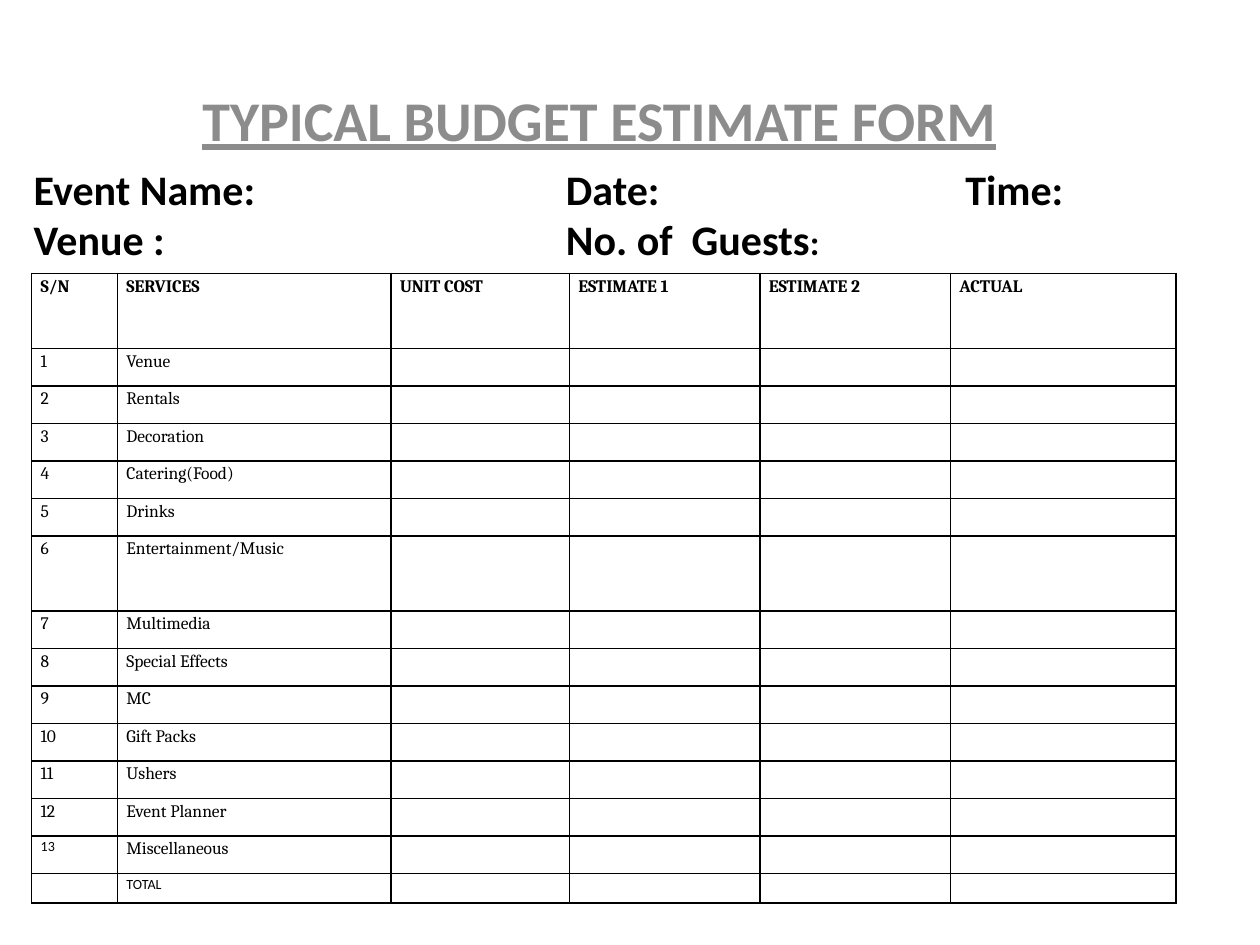
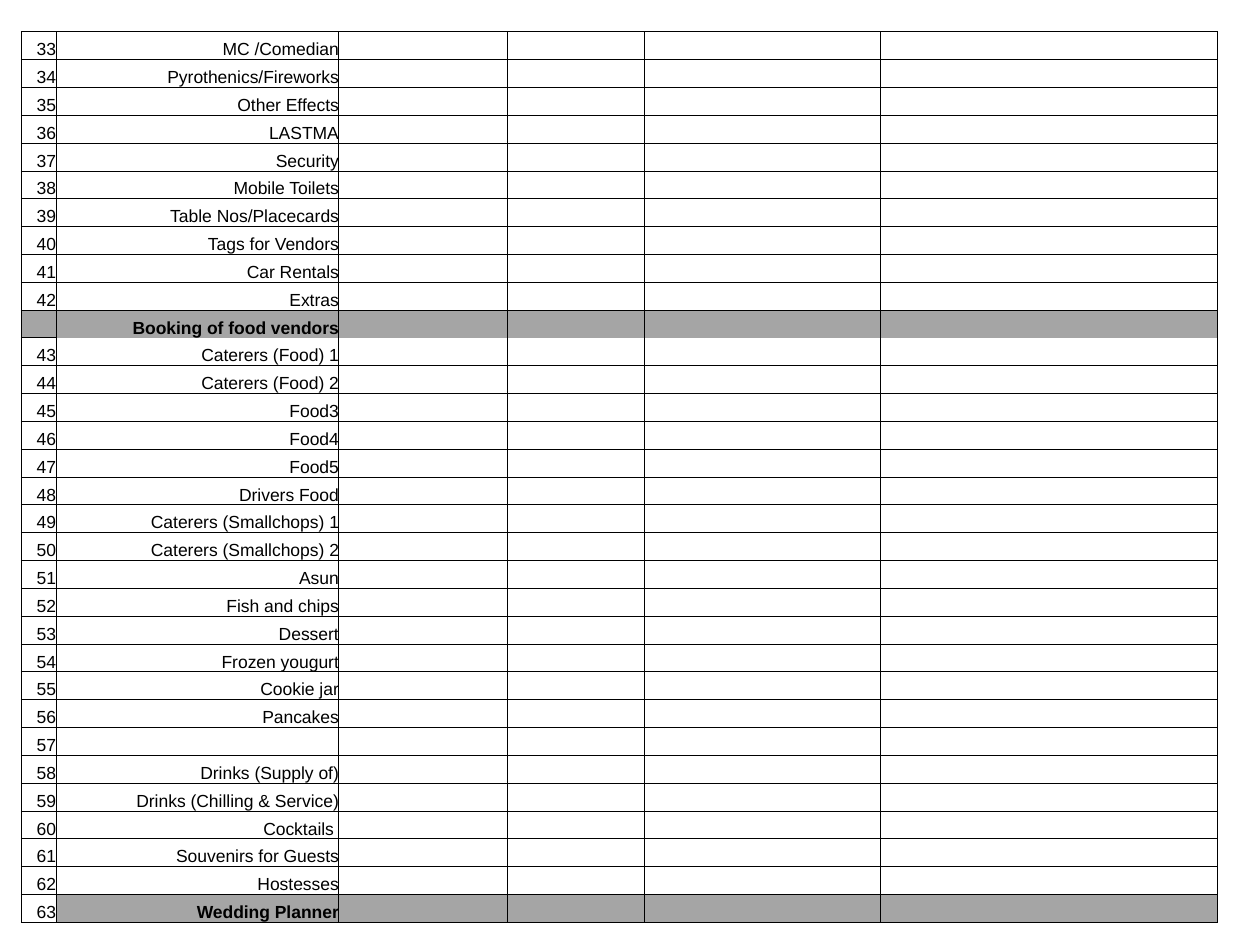
from lxml.etree import SubElement
from pptx import Presentation
from pptx.dml.color import RGBColor
from pptx.enum.text import MSO_ANCHOR, PP_ALIGN
from pptx.oxml.ns import qn
from pptx.util import Cm, Pt

# Content: budget form
TITLE = "TYPICAL BUDGET ESTIMATE FORM"
EVENT_LINES = [
    [("Event Name:\tDate:\tTime:", 24)],
    [("Venue :\tNo. of  Guests", 24), (": ", 20)],
]
BUDGET_HEADINGS = ["S/N", "SERVICES", "UNIT COST", "ESTIMATE 1", "ESTIMATE 2", "ACTUAL"]
SERVICES = ["Venue", "Rentals", "Decoration", "Catering(Food)", "Drinks",
            "Entertainment/Music", "Multimedia", "Special Effects", "MC", "Gift Packs",
            "Ushers", "Event Planner", "Miscellaneous"]
TALL_SERVICE = "Entertainment/Music"
SMALL_TEXTS = ("13", "TOTAL")

# Content: vendor checklist
FIRST_NUMBER = 33
BOOKING = "Booking of food vendors"
PLANNER = "Wedding Planner"
VENDORS = ["MC /Comedian", "Pyrothenics/Fireworks", "Other Effects", "LASTMA", "Security",
           "Mobile Toilets", "Table Nos/Placecards", "Tags for Vendors", "Car Rentals",
           "Extras", BOOKING, "Caterers (Food) 1", "Caterers (Food) 2", "Food3", "Food4",
           "Food5", "Drivers Food", "Caterers (Smallchops) 1", "Caterers (Smallchops) 2",
           "Asun", "Fish and chips", "Dessert", "Frozen yougurt", "Cookie jar", "Pancakes",
           "", "Drinks (Supply of)", "Drinks (Chilling & Service)", "Cocktails ",
           "Souvenirs for Guests", "Hostesses", PLANNER]

# Shared style
BLACK, WHITE, TITLE_GREY, BAND_GREY = "000000", "FFFFFF", "8C8C8C", "A5A5A5"
BUDGET_COLUMNS = [1.73, 5.51, 3.6, 3.84, 3.84, 4.55]
VENDOR_COLUMNS = [0.7, 5.7, 3.4, 2.77, 4.74, 6.81]
TAB_STOPS = [10.73, 18.78]


def color(value):
    return RGBColor.from_string(value)


def set_font(font, name, size, bold=False, value=BLACK):
    font.name, font.size, font.bold = name, Pt(size), bold
    font.color.rgb = color(value)


def add_text_box(slide, left, top, width, height):
    frame = slide.shapes.add_textbox(Cm(left), Cm(top), Cm(width), Cm(height)).text_frame
    frame.word_wrap = True
    return frame


def add_table(slide, left, top, columns, heights):
    shape = slide.shapes.add_table(len(heights), len(columns), Cm(left), Cm(top),
                                   Cm(sum(columns)), Cm(sum(heights)))
    table = shape.table
    table.first_row = table.horz_banding = False
    for column, width in zip(table.columns, columns):
        column.width = Cm(width)
    for row, height in zip(table.rows, heights):
        row.height = Cm(height)
    return table


def set_borders(cell, width, hidden=""):
    properties = cell._tc.get_or_add_tcPr()
    for side in "LRTB":
        line = SubElement(properties, qn("a:ln" + side), w=str(Pt(width)))
        if side == hidden:
            SubElement(line, qn("a:noFill"))
        else:
            fill = SubElement(line, qn("a:solidFill"))
            SubElement(fill, qn("a:srgbClr"), val=BLACK)


def fill_cell(cell, text, font, size, bold, margin):
    cell.margin_left = cell.margin_right = Cm(margin)
    cell.margin_top = cell.margin_bottom = 0
    paragraph = cell.text_frame.paragraphs[0]
    set_font(paragraph.font, font, size, bold)
    if text:
        paragraph.add_run().text = text
    else:  # keeps empty rows from growing
        SubElement(paragraph._p, qn("a:endParaRPr"), sz=str(size * 100))
    return paragraph


def build_budget_form(slide):
    # Title
    paragraph = add_text_box(slide, 2.24, 1.6, 19.69, 1.63).paragraphs[0]
    paragraph.text = TITLE
    paragraph.alignment = PP_ALIGN.CENTER
    set_font(paragraph.font, "Calibri", 32, True, TITLE_GREY)
    paragraph.font.underline = True

    # Event details, aligned by tab stops
    frame = add_text_box(slide, 0.43, 3.17, 24.98, 2.31)
    for index, parts in enumerate(EVENT_LINES):
        paragraph = frame.add_paragraph() if index else frame.paragraphs[0]
        tabs = SubElement(paragraph._p.get_or_add_pPr(), qn("a:tabLst"))
        for stop in TAB_STOPS:
            SubElement(tabs, qn("a:tab"), pos=str(Cm(stop)), algn="l")
        set_font(paragraph.font, "Calibri", 24, True)
        for text, size in parts:
            run = paragraph.add_run()
            run.text = text
            run.font.size = Pt(size)

    # Budget table: heading and one service take two units, the total a short row
    rows = [BUDGET_HEADINGS]
    rows += [[str(number), service] for number, service in enumerate(SERVICES, 1)]
    rows.append(["", "TOTAL"])
    total_height = 0.6
    unit = (12.7 - total_height) / (len(SERVICES) + 3)
    heights = [2 * unit if row[1] in (BUDGET_HEADINGS[1], TALL_SERVICE) else unit
               for row in rows[:-1]] + [total_height]
    table = add_table(slide, 0.64, 5.51, BUDGET_COLUMNS, heights)
    for row_index, row in enumerate(rows):
        for column in range(len(BUDGET_COLUMNS)):
            cell = table.cell(row_index, column)
            text = row[column] if column < len(row) else ""
            font, size = ("Calibri", 8) if text in SMALL_TEXTS else ("Cambria", 10)
            paragraph = fill_cell(cell, text, font, size, row_index == 0, 0.18)
            paragraph.line_spacing = 1.15
            set_borders(cell, 1)
            cell.fill.background()


def build_vendor_checklist(slide):
    heights = [17.98 / len(VENDORS)] * len(VENDORS)
    table = add_table(slide, 0.43, 0.64, VENDOR_COLUMNS, heights)
    booking_row = VENDORS.index(BOOKING)
    number = FIRST_NUMBER
    for row_index, vendor in enumerate(VENDORS):
        is_band = vendor in (BOOKING, PLANNER)
        label = "" if vendor == BOOKING else str(number)
        number += vendor != BOOKING
        for column in range(len(VENDOR_COLUMNS)):
            cell = table.cell(row_index, column)
            text = (label, vendor)[column] if column < 2 else ""
            paragraph = fill_cell(cell, text, "Arial", 10, is_band and column == 1, 0)
            paragraph.alignment = PP_ALIGN.RIGHT
            cell.vertical_anchor = MSO_ANCHOR.BOTTOM
            # No line between the booking band and the row under it
            hidden = {booking_row: "B", booking_row + 1: "T"}.get(row_index, "")
            set_borders(cell, 0.5, hidden if column else "")
            if column or vendor == BOOKING:
                cell.fill.solid()
                cell.fill.fore_color.rgb = color(BAND_GREY if is_band else WHITE)
            else:
                cell.fill.background()


presentation = Presentation()
presentation.slide_width, presentation.slide_height = Cm(25.4), Cm(19.05)
for build in (build_budget_form, build_vendor_checklist):
    build(presentation.slides.add_slide(presentation.slide_layouts[6]))
presentation.save("out.pptx")
